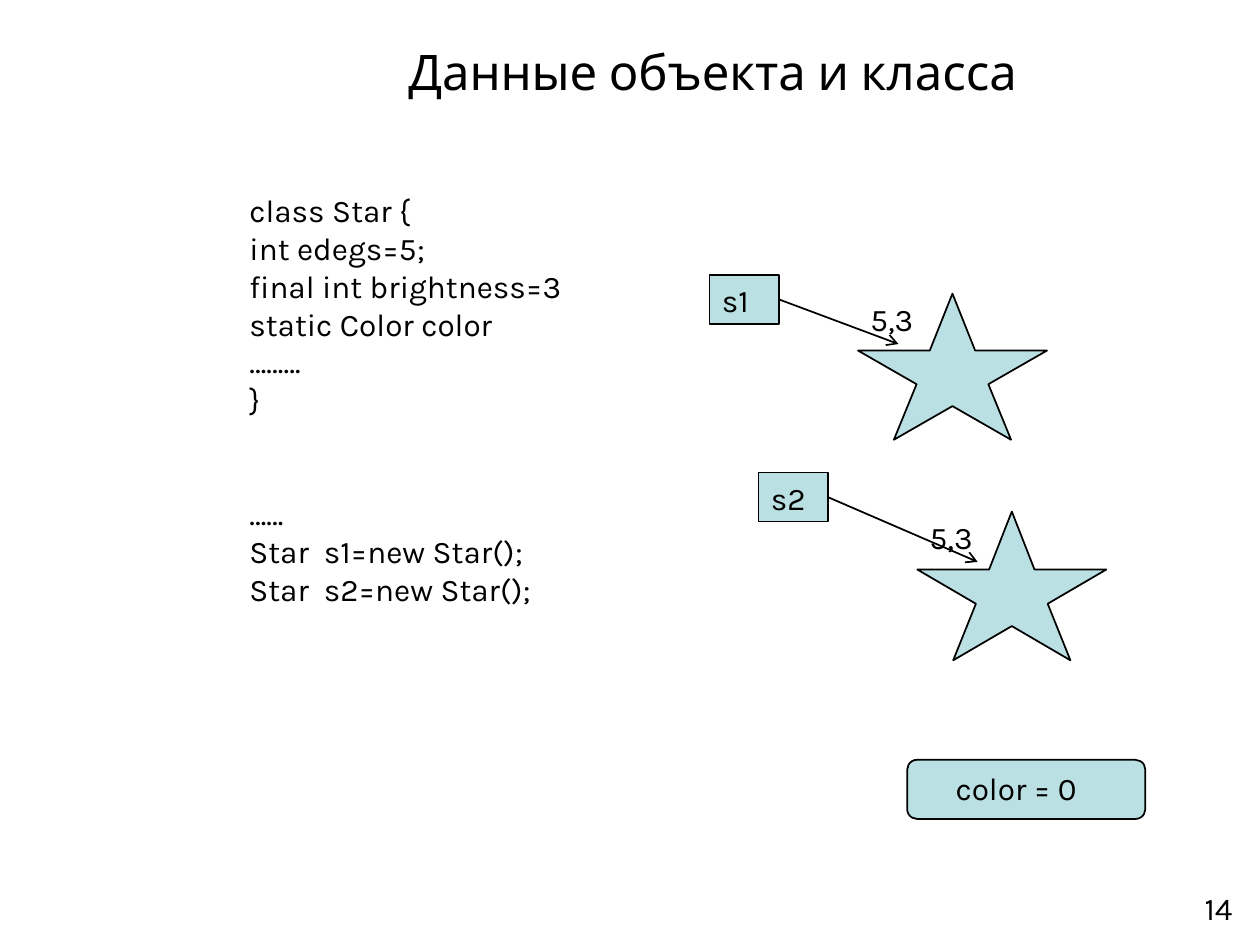
from lxml import etree
from pptx import Presentation
from pptx.dml.color import RGBColor
from pptx.enum.shapes import MSO_CONNECTOR, MSO_SHAPE
from pptx.enum.text import MSO_ANCHOR, PP_ALIGN
from pptx.oxml.ns import qn
from pptx.util import Pt

RECT, ROUNDED = MSO_SHAPE.RECTANGLE, MSO_SHAPE.ROUNDED_RECTANGLE
STRAIGHT = MSO_CONNECTOR.STRAIGHT
LEFT, CENTER, RIGHT = PP_ALIGN.LEFT, PP_ALIGN.CENTER, PP_ALIGN.RIGHT
TOP, MIDDLE = MSO_ANCHOR.TOP, MSO_ANCHOR.MIDDLE

COLORS = {"ink": "000000", "fill": "BBE0E3", "paper": "FFFFFF"}
# Star corners as fractions of its width and height
STAR = [(0, 0.39), (0.38, 0.39), (0.5, 0), (0.62, 0.39), (1, 0.39),
        (0.69, 0.62), (0.81, 1), (0.5, 0.77), (0.19, 1), (0.31, 0.62)]

CLASS_CODE = ["class Star {", "int edegs=5;", "final int brightness=3",
              "static Color color", "………", "}"]
USAGE_CODE = ["……", "Star  s1=new Star();", "Star  s2=new Star();"]


def rgb(name):
    return RGBColor.from_string(COLORS[name])


class Board:
    """Holds the text and line style and draws on one slide."""
    font = {"name": "Karla", "size": Pt(18)}
    line_width = Pt(1)

    def __init__(self, slide):
        self.slide = slide
        self.shapes = slide.shapes
        slide.background.fill.solid()
        slide.background.fill.fore_color.rgb = rgb("paper")

    def set_text(self, s, lines, align=LEFT, anchor=TOP, wrap=True, **font):
        tf = s.text_frame
        tf.word_wrap = wrap
        tf.vertical_anchor = anchor
        for i, text in enumerate(lines):
            p = tf.paragraphs[0] if i == 0 else tf.add_paragraph()
            p.alignment = align
            r = p.add_run()
            r.text = text
            for key, value in {**self.font, **font}.items():
                setattr(r.font, key, value)
            r.font.color.rgb = rgb("ink")
        return tf

    def outline(self, s):
        s.line.color.rgb = rgb("ink")
        s.line.width = self.line_width

    def paint(self, s):
        s.shadow.inherit = False
        s.fill.solid()
        s.fill.fore_color.rgb = rgb("fill")
        self.outline(s)

    def text(self, box, lines, **style):
        s = self.shapes.add_textbox(*map(Pt, box))
        return self.set_text(s, lines, **style)

    def box(self, kind, box, label):
        s = self.shapes.add_shape(kind, *map(Pt, box))
        self.paint(s)
        return self.set_text(s, [label])

    def star(self, x, y, w, h, label):
        points = [(Pt(x + fx * w), Pt(y + fy * h)) for fx, fy in STAR]
        builder = self.shapes.build_freeform(*points[0])
        builder.add_line_segments(points[1:], close=True)
        s = builder.convert_to_shape()
        self.paint(s)
        self.set_text(s, [label])

    def arrow(self, start, end):
        s = self.shapes.add_connector(STRAIGHT, *map(Pt, start + end))
        self.outline(s)
        props = s.element.spPr
        etree.SubElement(props.find(qn("a:ln")), qn("a:tailEnd"), type="arrow")
        etree.SubElement(props, qn("a:effectLst"))


def main():
    prs = Presentation()
    prs.slide_width, prs.slide_height = Pt(720), Pt(540)
    board = Board(prs.slides.add_slide(prs.slide_layouts[6]))

    board.text((543.6, 504.7, 167.8, 37.4), ["14"], align=RIGHT)
    board.text((110.2, 9.4, 594, 62.6), ["Данные объекта и класса"],
               align=CENTER, anchor=MIDDLE, size=Pt(28))
    tf = board.text((135.4, 105.8, 193.7, 244.8), CLASS_CODE + USAGE_CODE,
                    wrap=False)
    tf.paragraphs[len(CLASS_CODE)].space_before = Pt(43.4)

    w, h = 39.6, 28.1
    references = [
        ("s1", (405.4, 157), (513.4, 196.6), (490.3, 167.8, 108, 83.5)),
        ("s2", (433.4, 270), (558.7, 321.1), (524.2, 292.3, 108, 85)),
    ]
    for name, (x, y), _, _ in references:
        board.box(RECT, (x, y, w, h), name)
    for _, (x, y), tip, _ in references:
        board.arrow((x + w, y + h / 2), tip)
    tf = board.box(ROUNDED, (518.4, 434.2, 136.1, 33.8), "color = 0")
    tf.margin_left = Pt(26)
    for *_, star in references:
        board.star(*star, "5,3")

    prs.save("out.pptx")


if __name__ == "__main__":
    main()
